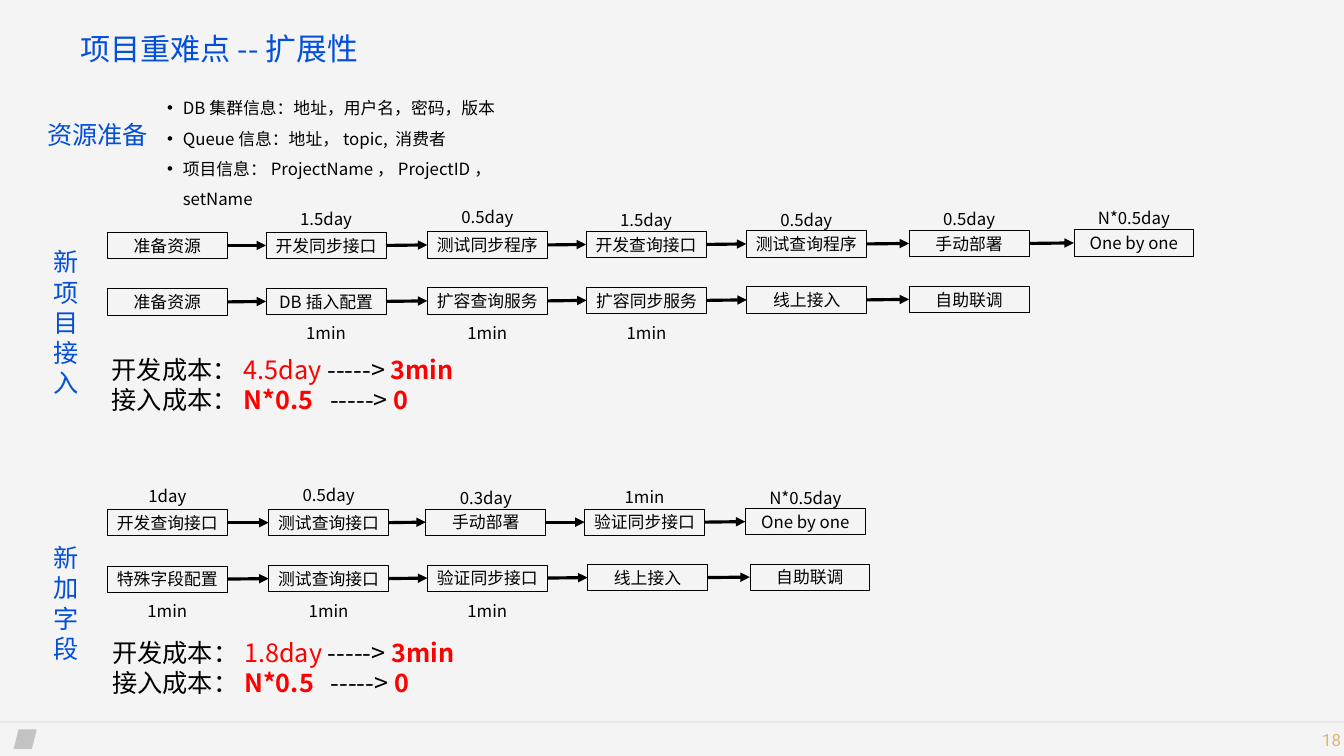
from lxml import etree
from pptx import Presentation
from pptx.dml.color import RGBColor
from pptx.enum.shapes import MSO_CONNECTOR, MSO_SHAPE
from pptx.enum.text import MSO_ANCHOR, PP_ALIGN
from pptx.oxml.ns import qn
from pptx.util import Pt

PX = 9144
W, H = 2667, 1500
BOX_W, BOX_H = 238, 52
RECT, PROCESS, SLANTED = MSO_SHAPE.RECTANGLE, MSO_SHAPE.FLOWCHART_PROCESS, MSO_SHAPE.PARALLELOGRAM
STRAIGHT = MSO_CONNECTOR.STRAIGHT
TOP, MIDDLE, BOTTOM = MSO_ANCHOR.TOP, MSO_ANCHOR.MIDDLE, MSO_ANCHOR.BOTTOM
LEFT, CENTER, RIGHT = PP_ALIGN.LEFT, PP_ALIGN.CENTER, PP_ALIGN.RIGHT
JP, SC, ROBOTO = "Noto Sans CJK JP", "Noto Sans CJK SC", "Roboto"
COLORS = {"bg": "F4F4F4", "ink": "000000", "blue": "034FD8", "red": "FF0000", "page": "E1B36F"}

TITLE = {"size": 44, "name": JP, "color": "blue"}
HEADING = {"size": 36, "name": JP, "color": "blue"}
COST = {"size": 36, "name": JP, "color": "ink"}
BODY = {"size": 24, "name": SC, "color": "ink"}
PAGE = {"size": 24, "name": ROBOTO, "color": "page"}

NEW_PROJECT = {
    "title": ["新", "项", "目", "接", "入"], "title_y": 81, "title_h": 322,
    "cost": "4.5day", "cost_x": 115, "cost_y": 295, "cost_w": 722,
    "rows": [
        {"y": 57, "rise": 5, "x": [116, 431, 751, 1066, 1384, 1707, 2034],
         "steps": ["准备资源", "开发同步接口", "测试同步程序", "开发查询接口", "测试查询程序", "手动部署", "One by one"],
         "times": [None, (3, "1.5day"), (0, "0.5day"), (6, "1.5day"), (5, "0.5day"), (3, "0.5day"), (2, "N*0.5day")]},
        {"y": 169, "rise": 5, "x": [116, 431, 751, 1067, 1385, 1707],
         "steps": ["准备资源", "DB插入配置", "扩容查询服务", "扩容同步服务", "线上接入", "自助联调"],
         "times": [None] + [(230, "1min")] * 3},
    ],
}
NEW_FIELD = {
    "title": ["新", "加字段"], "title_y": 117, "title_h": 252,
    "cost": "1.8day", "cost_x": 116, "cost_y": 304, "cost_w": 715,
    "rows": [
        {"y": 56, "rise": 2, "x": [116, 436, 748, 1063, 1382],
         "steps": ["开发查询接口", "测试查询接口", "手动部署", "验证同步接口", "One by one"],
         "times": [(3, "1day"), (0, "0.5day"), (6, "0.3day"), (4, "1min"), (7, "N*0.5day")]},
        {"y": 168, "rise": 4, "x": [116, 436, 751, 1069, 1391],
         "steps": ["特殊字段配置", "测试查询接口", "验证同步接口", "线上接入", "自助联调"],
         "times": [(230, "1min")] * 3},
    ],
}


def rgb(name):
    return RGBColor.from_string(COLORS[name])


def add_run(p, text, fmt):
    r = p.add_run()
    r.text = text
    for key, value in fmt.items():
        if key == "color":
            r.font.color.rgb = rgb(value)
        elif key == "spacing":
            r.font._element.set("spc", str(value * 100))
        else:
            setattr(r.font, key, Pt(value) if key == "size" else value)
    etree.SubElement(r.font._element, qn("a:ea"), typeface=fmt["name"])


def write(sp, paragraphs, fmt, align=LEFT, anchor=TOP, inset=(10, 5), wrap=True, pitch=None):
    tf = sp.text_frame
    side, edge = (v * PX for v in inset)
    frame = {"word_wrap": wrap, "vertical_anchor": anchor, "margin_left": side,
             "margin_right": side, "margin_top": edge, "margin_bottom": edge}
    for key, value in frame.items():
        setattr(tf, key, value)
    for i, runs in enumerate(paragraphs):
        p = tf.add_paragraph() if i else tf.paragraphs[0]
        p.alignment = align
        p.line_spacing = Pt(pitch or round(fmt["size"] * 1.2))
        for text, extra in [(runs, {})] if isinstance(runs, str) else runs:
            add_run(p, text, {**fmt, **extra})


def add_text(s, x, y, w, h, paragraphs, fmt, **layout):
    sp = s.shapes.add_textbox(x * PX, y * PX, w * PX, h * PX)
    write(sp, paragraphs, fmt, **layout)
    return sp


def add_solid(s, kind, x, y, w, h, alpha):
    sp = s.shapes.add_shape(kind, x * PX, y * PX, w * PX, h * PX)
    sp.shadow.inherit = False
    sp.line.fill.background()
    sp.fill.solid()
    sp.fill.fore_color.rgb = rgb("ink")
    color = sp.fill._xPr.find(qn("a:solidFill"))[0]
    etree.SubElement(color, qn("a:alpha"), val=str(alpha * 1000))


def add_process(s, x, y, text, outlined):
    sp = s.shapes.add_shape(PROCESS, x * PX, y * PX, BOX_W * PX, BOX_H * PX)
    sp.shadow.inherit = False
    sp.fill.background()
    if outlined:
        sp.line.color.rgb = rgb("ink")
        sp.line.width = Pt(1)
    else:
        sp.line.fill.background()
    write(sp, [text], BODY, align=CENTER, anchor=MIDDLE, inset=(6, 6))


def add_arrow(s, x1, y1, x2, y2):
    cx = s.shapes.add_connector(STRAIGHT, x1 * PX, y1 * PX, x2 * PX, y2 * PX)
    cx.line.color.rgb = rgb("ink")
    cx.line.width = Pt(4.5)
    etree.SubElement(cx.line._get_or_add_ln(), qn("a:tailEnd"), type="triangle")
    etree.SubElement(cx._element.spPr, qn("a:effectLst"))


def add_flow(s, x, y, row):
    last = len(row["steps"]) - 1
    spots = [(x + dx, y + row["y"] - i * row["rise"] // last) for i, dx in enumerate(row["x"])]
    for (left, top), step in zip(spots, row["steps"]):
        add_process(s, left, top, step, True)
    for (x1, y1), (x2, y2) in zip(spots, spots[1:]):
        add_arrow(s, x1 + BOX_W, y1 + BOX_H // 2, x2, y2 + BOX_H // 2)
    for (left, _), time in zip(spots, row["times"]):
        if time:
            add_process(s, left, y + time[0], time[1], False)


def add_section(s, x, y, data):
    add_text(s, x, y + data["title_y"], 74, data["title_h"], data["title"], HEADING)
    for row in data["rows"]:
        add_flow(s, x, y, row)
    red, strong = {"color": "red"}, {"color": "red", "bold": True}
    costs = [
        [("开发成本：", {}), (data["cost"], red), (" -----> ", {}), ("3min", strong)],
        [("接入成本：", {}), ("N*0.5", strong), (" ", {"spacing": 16}), ("-----> ", {}), ("0", strong)],
    ]
    add_text(s, x + data["cost_x"], y + data["cost_y"], data["cost_w"], 131, costs, COST)


def add_resources(s, x, y):
    items = ["DB集群信息：地址，用户名，密码，版本", "Queue信息：地址，topic, 消费者",
             "项目信息：ProjectName，ProjectID， setName"]
    sp = add_text(s, x + 239, y, 798, 192, items, BODY, pitch=43)
    for p in sp.text_frame.paragraphs:
        pPr = p._p.get_or_add_pPr()
        pPr.set("marL", str(31 * PX))
        pPr.set("indent", str(-31 * PX))
        etree.SubElement(pPr, qn("a:buFont"), typeface="Arial")
        etree.SubElement(pPr, qn("a:buChar"), char="•")
    add_text(s, x, y + 63, 222, 71, ["资源准备"], HEADING, align=CENTER, wrap=False)


def add_footer(s, x, y):
    add_solid(s, RECT, x, y, W, 3, 5)
    add_solid(s, SLANTED, x + 27, y + 16, 46, 39, 20)
    add_text(s, x, y + 10, W, 52, ["18"], PAGE, align=RIGHT, inset=(6, 6))


def main():
    prs = Presentation()
    prs.slide_width, prs.slide_height = W * PX, H * PX
    s = prs.slides.add_slide(prs.slide_layouts[6])
    s.background.fill.solid()
    s.background.fill.fore_color.rgb = rgb("bg")
    add_footer(s, 0, 1431)
    add_text(s, 153, 57, 589, 82, [[("项目重难点--", {"size": 43}), ("扩展性", {})]], TITLE,
             anchor=BOTTOM, inset=(6, 6))
    add_resources(s, 83, 170)
    add_section(s, 97, 404, NEW_PROJECT)
    add_section(s, 97, 955, NEW_FIELD)
    prs.save("out.pptx")


if __name__ == "__main__":
    main()
